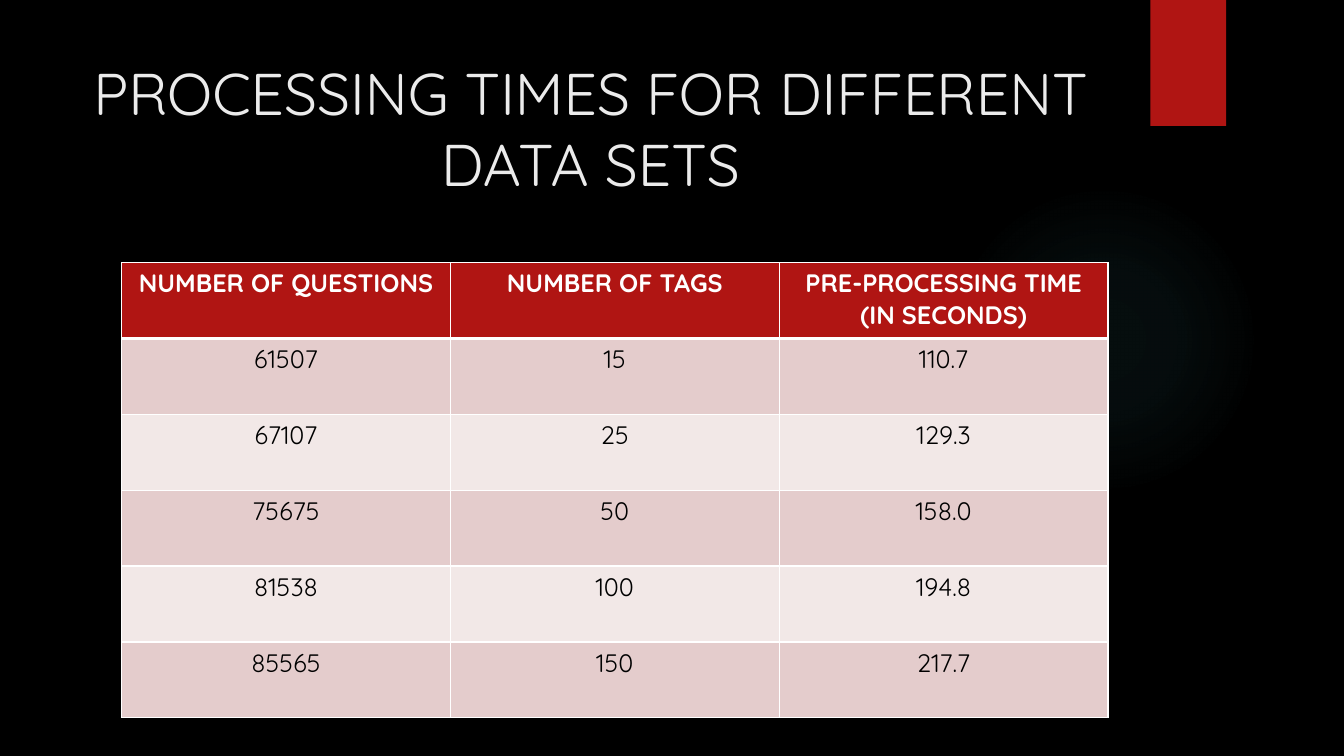
from dataclasses import dataclass

from lxml.etree import SubElement
from pptx import Presentation
from pptx.dml.color import RGBColor as Rgb
from pptx.enum.shapes import MSO_SHAPE as Shape
from pptx.enum.text import MSO_ANCHOR as Anchor, PP_ALIGN as Align
from pptx.oxml import parse_xml
from pptx.oxml.ns import nsdecls, qn
from pptx.util import Inches, Pt


@dataclass(frozen=True)
class Theme:
    """Colours, font and type sizes of the slide."""
    font: str = "Quicksand"
    title_size: int = 42
    table_size: int = 18
    backdrop: str = "000000"
    title: str = "EBEBEB"
    accent: str = "B01513"
    glow: str = "50B9C1"
    rule: str = "FFFFFF"
    header_text: str = "FFFFFF"
    body_text: str = "000000"
    bands: tuple = ("E4CCCC", "F2E8E7")


THEME = Theme()
SLIDE_WIDTH, SLIDE_HEIGHT = Inches(13.33), Inches(7.5)
TITLE = "PROCESSING TIMES FOR DIFFERENT DATA SETS"
ROWS = [
    ("NUMBER OF QUESTIONS", "NUMBER OF TAGS", "PRE-PROCESSING TIME (IN SECONDS)"),
    ("61507", "15", "110.7"),
    ("67107", "25", "129.3"),
    ("75675", "50", "158.0"),
    ("81538", "100", "194.8"),
    ("85565", "150", "217.7"),
]


def area(left, top, width, height):
    """Turn percentages of the slide into a position and a size."""
    return (int(SLIDE_WIDTH * left / 100), int(SLIDE_HEIGHT * top / 100),
            int(SLIDE_WIDTH * width / 100), int(SLIDE_HEIGHT * height / 100))


def apply_format(target, values):
    """Set each attribute named in a dict of format values."""
    for name, value in values.items():
        setattr(target, name, value)


def paint(fill, color):
    """Give a fill one solid colour."""
    fill.solid()
    fill.fore_color.rgb = Rgb.from_string(color)


def write(frame, text, size, color, bold=False):
    """Write one centred paragraph in the theme font."""
    para = frame.paragraphs[0]
    para.alignment = Align.CENTER
    span = para.add_run()
    span.text = text
    apply_format(span.font, {"name": THEME.font, "size": Pt(size), "bold": bold})
    span.font.color.rgb = Rgb.from_string(color)


def add_block(page, kind, place, color):
    """Add a plain shape without outline or shadow."""
    block = page.shapes.add_shape(kind, *place)
    block.shadow.inherit = False
    block.line.fill.background()
    paint(block.fill, color)
    return block


def add_glow(page, place, stops):
    """Add an ellipse that fades outwards through (position, opacity) stops."""
    glow = add_block(page, Shape.OVAL, place, THEME.glow)
    marks = "".join(
        f'<a:gs pos="{position * 1000}"><a:srgbClr val="{THEME.glow}">'
        f'<a:alpha val="{opacity * 1000}"/></a:srgbClr></a:gs>'
        for position, opacity in stops)
    gradient = parse_xml(
        f'<a:gradFill {nsdecls("a")} rotWithShape="1"><a:gsLst>{marks}</a:gsLst>'
        '<a:path path="circle"><a:fillToRect l="50000" t="50000" r="50000" b="50000"/>'
        '</a:path></a:gradFill>')
    properties = glow.element.spPr
    properties.replace(properties.find(qn("a:solidFill")), gradient)


def add_title(page, place, text):
    """Add the centred slide title."""
    box = page.shapes.add_textbox(*place)
    apply_format(box.text_frame, {"word_wrap": True, "vertical_anchor": Anchor.MIDDLE})
    write(box.text_frame, text, THEME.title_size, THEME.title)


def draw_borders(cell, widths):
    """Draw the sides of a cell with the given widths in points."""
    properties = cell._tc.get_or_add_tcPr()
    for side, width in widths.items():
        line = SubElement(properties, qn(f"a:ln{side}"), w=str(Pt(width)))
        SubElement(SubElement(line, qn("a:solidFill")), qn("a:srgbClr"), val=THEME.rule)


def add_data_table(page, place, rows):
    """Add a table with a header row and banded body rows."""
    left, top, width, height = place
    table = page.shapes.add_table(len(rows), len(rows[0]), *place).table
    for column in table.columns:
        column.width = width // len(rows[0])
    for number, (row, texts) in enumerate(zip(table.rows, rows)):
        row.height = height // len(rows)
        header = number == 0
        fill = THEME.accent if header else THEME.bands[(number - 1) % 2]
        color = THEME.header_text if header else THEME.body_text
        widths = {"L": 1, "R": 1, "T": 3 if number == 1 else 1, "B": 3 if header else 1}
        for cell, text in zip(row.cells, texts):
            draw_borders(cell, widths)
            paint(cell.fill, fill)
            write(cell.text_frame, text, THEME.table_size, color, header)


def main():
    """Build the slide and save the deck."""
    deck = Presentation()
    apply_format(deck, {"slide_width": SLIDE_WIDTH, "slide_height": SLIDE_HEIGHT})
    page = deck.slides.add_slide(deck.slide_layouts[6])
    paint(page.background.fill, THEME.backdrop)
    add_glow(page, area(70.6, 24.4, 23.1, 41.07), [(0, 7), (36, 6), (69, 0)])
    add_block(page, Shape.RECTANGLE, area(85.6, 0, 5.63, 16.67), THEME.accent)
    add_title(page, area(5.33, 6.67, 77.2, 20.4), TITLE)
    add_data_table(page, area(9.05, 34.75, 73.4, 60.2), ROWS)
    deck.save("out.pptx")


if __name__ == "__main__":
    main()
